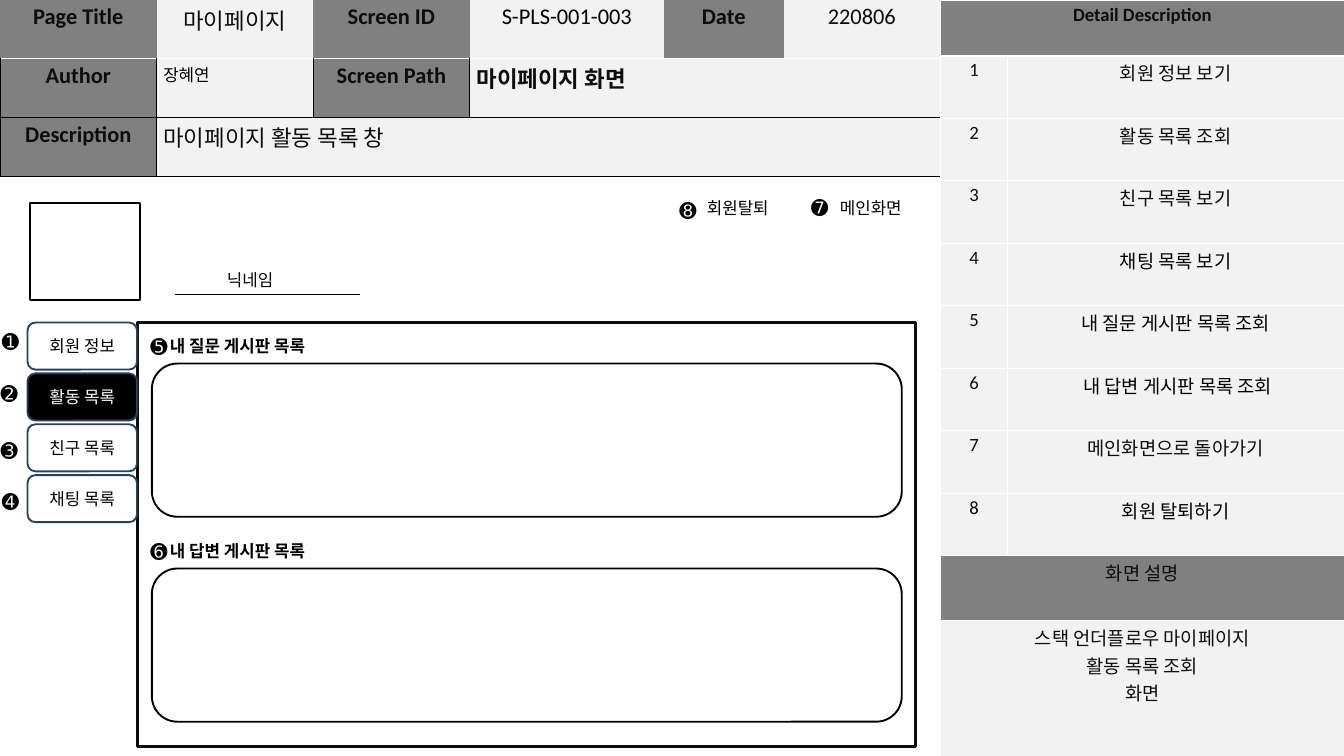
from lxml.etree import SubElement
from pptx import Presentation
from pptx.dml.color import RGBColor
from pptx.enum.shapes import MSO_CONNECTOR, MSO_SHAPE
from pptx.enum.text import MSO_ANCHOR, MSO_AUTO_SIZE, PP_ALIGN
from pptx.oxml.ns import qn
from pptx.util import Inches, Pt

BLACK = RGBColor(0, 0, 0)
WHITE = RGBColor(255, 255, 255)
INK = RGBColor(0x0D, 0x0D, 0x0D)
GRAY = RGBColor(0x80, 0x80, 0x80)
PALE = RGBColor(0xF2, 0xF2, 0xF2)
NAVY = RGBColor(0x27, 0x40, 0x5E)
LATIN, KOREAN, PLAIN = "Calibri", "Noto Sans CJK KR", "Arial"
NO_STYLE = "{2D5ABB26-0587-4C30-8999-92F81FD0307C}"

HEADER_COLUMNS = [2.33, 2.33, 2.33, 2.89, 1.78, 2.33]
HEADER_ROWS = [0.87, 0.88, 0.88]
HEADER = [
    ["Page Title", "마이페이지", "Screen ID", "S-PLS-001-003", "Date", "220806"],
    ["Author", "장혜연", "Screen Path", "마이페이지 화면"],
    ["Description", "마이페이지 활동 목록 창"],
]
DETAILS = [
    "회원 정보 보기", "활동 목록 조회", "친구 목록 보기", "채팅 목록 보기",
    "내 질문 게시판 목록 조회", " 내 답변 게시판 목록 조회",
    "메인화면으로 돌아가기", "회원 탈퇴하기",
]
KOREAN_DETAILS = DETAILS[3:]
DETAIL_COLUMNS = [0.99, 5.01]
DETAIL_ROWS = [0.83] + [0.93] * len(DETAILS) + [0.97, 2.96]
SUMMARY = "스택 언더플로우 마이페이지\n활동 목록 조회\n화면"

TABS = ["회원 정보", "활동 목록", "친구 목록", "채팅 목록"]
ACTIVE_TAB = "활동 목록"
TAB_LEFT, TAB_TOP, TAB_WIDTH, TAB_HEIGHT, TAB_STEP = 0.41, 4.8, 1.63, 0.7, 0.757
BOARDS = [("➎", "내 질문 게시판 목록"), ("➏", "내 답변 게시판 목록")]
BOARD_TOP, BOARD_STEP = 4.93, 3.05
MARKERS = [
    ("➊", -0.07, 4.85), ("➋", -0.09, 5.62), ("➌", -0.09, 6.47),
    ("➍", -0.07, 7.23), ("➐", 11.97, 2.86), ("➑", 10.01, 2.89),
]
LABELS = [
    ("닉네임", 3.28, 3.96, 0.96, LATIN),
    ("메인화면", 12.4, 2.9, 1.2, LATIN),
    ("회원탈퇴", 10.42, 2.89, 1.31, PLAIN),
]


def write(frame, text, size, font, color, bold=False, align=None):
    frame.text = text
    for para in frame.paragraphs:
        para.alignment = align
        for span in para.runs:
            span.font.size = Pt(size)
            span.font.name = font
            span.font.bold = bold
            span.font.color.rgb = color


def add_text(slide, text, left, top, width, height, size, font, bold=False, wrap=True):
    box = slide.shapes.add_textbox(*map(Inches, (left, top, width, height)))
    write(box.text_frame, text, size, font, BLACK, bold)
    box.text_frame.word_wrap = wrap
    box.text_frame.auto_size = MSO_AUTO_SIZE.SHAPE_TO_FIT_TEXT


def add_box(slide, kind, left, top, width, height, line, weight, fill=None):
    shape = slide.shapes.add_shape(kind, *map(Inches, (left, top, width, height)))
    shape.shadow.inherit = False
    shape.line.color.rgb = line
    shape.line.width = Pt(weight)
    if fill is None:
        shape.fill.background()
    else:
        shape.fill.solid()
        shape.fill.fore_color.rgb = fill
    return shape


def set_borders(cell, borders):
    properties = cell._tc.get_or_add_tcPr()
    for position, side in enumerate(side for side in "LRTB" if side in borders):
        color, weight = borders[side]
        line = properties.makeelement(qn(f"a:ln{side}"), {"w": str(Pt(weight))})
        fill = SubElement(line, qn("a:solidFill"))
        SubElement(fill, qn("a:srgbClr"), val=str(color))
        properties.insert(position, line)


def add_grid(slide, left, columns, rows):
    frame = slide.shapes.add_table(
        len(rows), len(columns), Inches(left), 0, Inches(sum(columns)), Inches(sum(rows))
    )
    table = frame.table
    table.first_row = table.horz_banding = False
    table._tbl.tblPr.find(qn("a:tableStyleId")).text = NO_STYLE
    for column, width in zip(table.columns, columns):
        column.width = Inches(width)
    for row, height in zip(table.rows, rows):
        row.height = Inches(height)
    return table


def fill_cell(cell, text, fill, borders, size, font=LATIN, color=INK, bold=False, align=PP_ALIGN.CENTER):
    write(cell.text_frame, text, size, font, color, bold, align)
    cell.fill.solid()
    cell.fill.fore_color.rgb = fill
    set_borders(cell, borders)


def add_header(slide):
    table = add_grid(slide, 0, HEADER_COLUMNS, HEADER_ROWS)
    white, black = (WHITE, 0.96), (BLACK, 1)
    for r, texts in enumerate(HEADER):
        last = len(texts) - 1
        if len(texts) < len(HEADER_COLUMNS):
            table.cell(r, last).merge(table.cell(r, len(HEADER_COLUMNS) - 1))
        for c, text in enumerate(texts):
            label = c % 2 == 0
            borders = {"B": white}
            if r:
                borders = {"L": black, "R": black, "T": white if r == 1 else black, "B": black}
            small = text == "장혜연"
            fill_cell(
                table.cell(r, c), text, GRAY if label else PALE, borders,
                18 if small else 24, PLAIN if small else LATIN,
                BLACK if small or text == "S-PLS-001-003" else INK,
                label or text == "마이페이지 화면",
                PP_ALIGN.CENTER if label or r == 0 else PP_ALIGN.LEFT,
            )


def add_details(slide):
    table = add_grid(slide, 14, DETAIL_COLUMNS, DETAIL_ROWS)
    thin = {side: (WHITE, 0.96) for side in "LRTB"}
    thick = (WHITE, 3)
    bands = len(DETAILS) + 1
    for r, text, fill in [(0, "Detail Description", GRAY), (bands, "화면 설명", GRAY), (bands + 1, SUMMARY, PALE)]:
        table.cell(r, 0).merge(table.cell(r, 1))
        borders = thin if r else {**thin, "B": thick}
        fill_cell(table.cell(r, 0), text, fill, borders, 20, bold=r == 0)
    for r, text in enumerate(DETAILS, 1):
        borders = {**thin, "T": thick} if r == 1 else thin
        fill_cell(table.cell(r, 0), str(r), PALE, borders, 20, color=BLACK if r == 8 else INK)
        special = text in KOREAN_DETAILS and r != 7
        fill_cell(table.cell(r, 1), text, PALE, borders, 20,
                  KOREAN if special else LATIN, BLACK if special else INK)


def add_profile(slide):
    add_box(slide, MSO_SHAPE.RECTANGLE, 0.45, 3.02, 1.63, 1.45, BLACK, 2)
    underline = slide.shapes.add_connector(
        MSO_CONNECTOR.STRAIGHT, *map(Inches, (2.6, 4.38, 5.35, 4.38))
    )
    underline.line.color.rgb = BLACK
    underline.line.width = Pt(0.75)
    SubElement(underline._element.spPr, qn("a:effectLst"))
    for text, left, top, width, font in LABELS:
        add_text(slide, text, left, top, width, 0.4, 18, font, wrap=False)


def add_boards(slide):
    add_box(slide, MSO_SHAPE.RECTANGLE, 2.05, 4.8, 11.57, 6.31, INK, 3)
    for i, (marker, title) in enumerate(BOARDS):
        top = BOARD_TOP + i * BOARD_STEP
        add_box(slide, MSO_SHAPE.FLOWCHART_ALTERNATE_PROCESS, 2.26, top + 0.48, 11.16, 2.28, BLACK, 2)
        add_text(slide, marker, 2.14, top - 0.01, 0.42, 0.46, 22, LATIN)
        add_text(slide, title, 2.43, top + 0.02, 2.47, 0.4, 18, KOREAN, True, False)


def add_tabs(slide):
    for i, text in enumerate(TABS):
        active = text == ACTIVE_TAB
        tab = add_box(
            slide, MSO_SHAPE.FLOWCHART_ALTERNATE_PROCESS, TAB_LEFT, TAB_TOP + i * TAB_STEP,
            TAB_WIDTH, TAB_HEIGHT, NAVY, 2, BLACK if active else WHITE,
        )
        tab.text_frame.vertical_anchor = MSO_ANCHOR.MIDDLE
        write(tab.text_frame, text, 18, KOREAN if i else LATIN,
              WHITE if active else BLACK, align=PP_ALIGN.CENTER)
    for marker, left, top in MARKERS:
        add_text(slide, marker, left, top, 0.42, 0.46, 22, LATIN)


def main():
    deck = Presentation()
    deck.slide_width, deck.slide_height = Inches(20), Inches(11.25)
    page = deck.slides.add_slide(deck.slide_layouts[6])
    for add_part in (add_header, add_details, add_profile, add_boards, add_tabs):
        add_part(page)
    deck.save("out.pptx")


if __name__ == "__main__":
    main()
